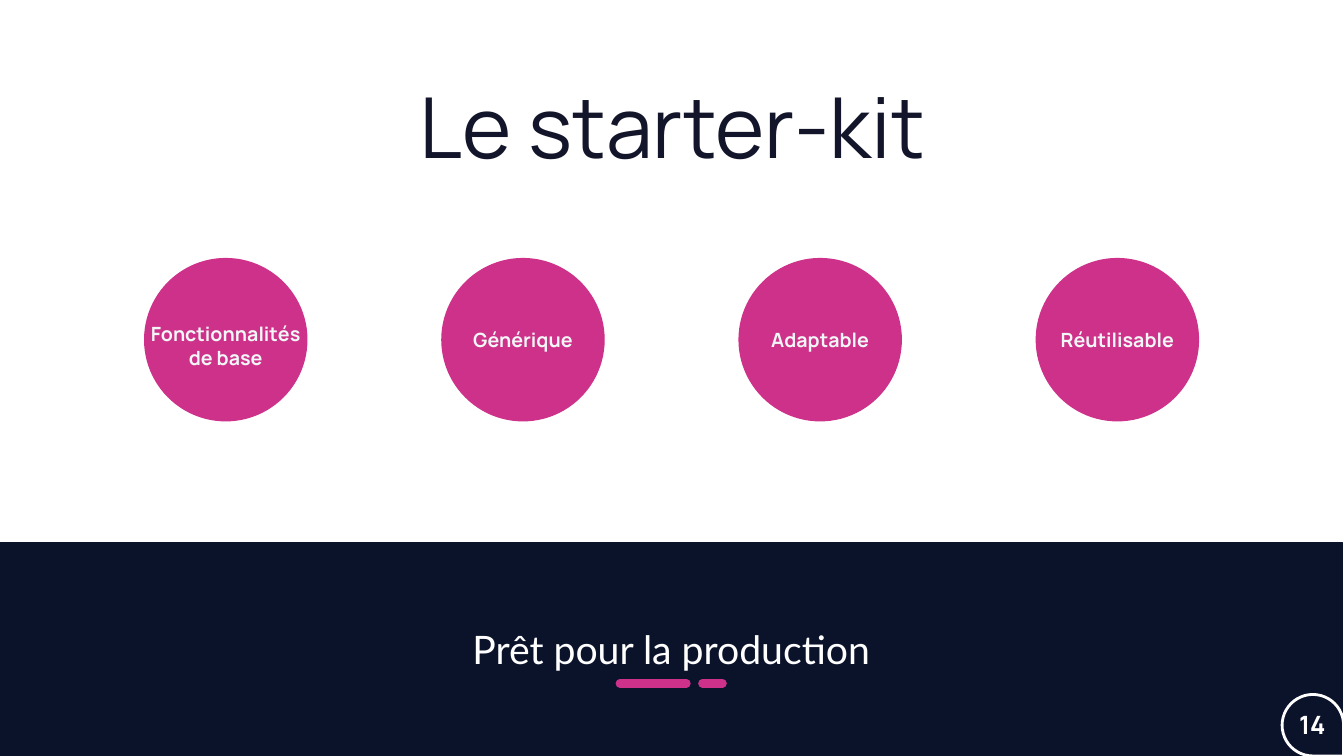
"""Build the starter-kit slide: four qualities above a production-ready band."""
from pptx import Presentation
from pptx.dml.color import RGBColor
from pptx.enum.shapes import MSO_CONNECTOR, MSO_SHAPE
from pptx.enum.text import MSO_ANCHOR, PP_ALIGN
from pptx.oxml.ns import qn
from pptx.util import Cm, Pt
from lxml.etree import SubElement

NAVY = RGBColor(0x0B, 0x13, 0x2B)
INK = RGBColor(0x13, 0x16, 0x2A)
PINK = RGBColor(0xCE, 0x31, 0x89)
MIST = RGBColor(0xF2, 0xF6, 0xF7)
WHITE = RGBColor(0xFF, 0xFF, 0xFF)

QUALITIES = [("Fonctionnalités de base", 0.15), ("Générique", 0), ("Adaptable", 0), ("Réutilisable", 0)]
FIRST_LEFT, CIRCLE_STEP, CIRCLE_TOP, DIAMETER = 3.63, 7.49, 6.5, 4.12
LABEL_WIDTH, LABEL_HEIGHT = 4.57, 2.4


def write(shape, text, size, color, name="Manrope", bold=False,
          align=PP_ALIGN.CENTER, anchor=MSO_ANCHOR.MIDDLE):
    """Put one formatted paragraph in a shape and return it."""
    frame = shape.text_frame
    frame.word_wrap = True
    frame.vertical_anchor = anchor
    para = frame.paragraphs[0]
    para.alignment = align
    span = para.add_run()
    span.text = text
    for key, value in {"name": name, "size": Pt(size), "bold": bold}.items():
        setattr(span.font, key, value)
    span.font.color.rgb = color
    return para


def add_filled(parent, kind, left, top, width, height, fill, line=None, weight=1):
    """Add a flat preset shape, outlined only when a line colour is given."""
    shape = parent.shapes.add_shape(kind, Cm(left), Cm(top), Cm(width), Cm(height))
    shape.shadow.inherit = False
    shape.fill.solid()
    shape.fill.fore_color.rgb = fill
    if line is None:
        shape.line.fill.background()
    else:
        shape.line.color.rgb = line
        shape.line.width = Pt(weight)
    return shape


def add_label(parent, left, top, width, height, text, size, color, **formats):
    """Add a bold text box."""
    box = parent.shapes.add_textbox(Cm(left), Cm(top), Cm(width), Cm(height))
    write(box, text, size, color, bold=True, **formats)


def add_dash(parent, start, end, level):
    """Add a thick pink underline stroke with round ends."""
    dash = parent.shapes.add_connector(MSO_CONNECTOR.STRAIGHT, Cm(start), Cm(level), Cm(end), Cm(level))
    dash.line.color.rgb = PINK
    dash.line.width = Pt(6)
    dash.line._get_or_add_ln().set("cap", "rnd")
    SubElement(dash._element.spPr, qn("a:effectLst"))


def add_title(page, text):
    """Place and format the title placeholder."""
    title = page.shapes.title
    places = {"left": 2.34, "top": 0.91, "width": 29.21, "height": 3.68}
    for key, value in places.items():
        setattr(title, key, Cm(value))
    write(title, text, 60, INK, anchor=MSO_ANCHOR.BOTTOM).line_spacing = 0.9


def add_band(page, text):
    """Add the dark bottom band with its underlined statement."""
    group = page.shapes.add_group_shape()
    band = add_filled(group, MSO_SHAPE.RECTANGLE, 0, 13.67, 33.83, 5.38, NAVY, NAVY)
    write(band, text, 28, WHITE, name="Lato")
    for start, end in [(15.62, 17.3), (17.7, 18.21)]:
        add_dash(group, start, end, 17.22)


def add_quality(page, left, text, drop):
    """Add a pink circle with a label centred on it, lowered by drop."""
    group = page.shapes.add_group_shape()
    add_filled(group, MSO_SHAPE.OVAL, left, CIRCLE_TOP, DIAMETER, DIAMETER, PINK)
    add_label(group, left + (DIAMETER - LABEL_WIDTH) / 2,
              CIRCLE_TOP + (DIAMETER - LABEL_HEIGHT) / 2 + drop,
              LABEL_WIDTH, LABEL_HEIGHT, text, 14, MIST)


def add_page_number(page, text):
    """Add the page number in a drop pointing to the bottom right corner."""
    group = page.shapes.add_group_shape()
    drop = add_filled(group, MSO_SHAPE.TEAR, 32.31, 17.5, 1.55, 1.55, NAVY, WHITE, 2)
    drop.rotation = 90
    add_label(group, 32.49, 17.75, 1.37, 1.02, text, 18, WHITE,
              align=PP_ALIGN.LEFT, anchor=MSO_ANCHOR.TOP)


def main():
    """Assemble and save the slide."""
    deck = Presentation()
    deck.slide_width, deck.slide_height = Cm(33.87), Cm(19.05)
    page = deck.slides.add_slide(deck.slide_layouts[5])
    add_band(page, "Prêt pour la production")
    add_title(page, "Le starter-kit")
    for index, (text, drop) in enumerate(QUALITIES):
        add_quality(page, FIRST_LEFT + index * CIRCLE_STEP, text, drop)
    add_page_number(page, "14")
    deck.save("out.pptx")


if __name__ == "__main__":
    main()
